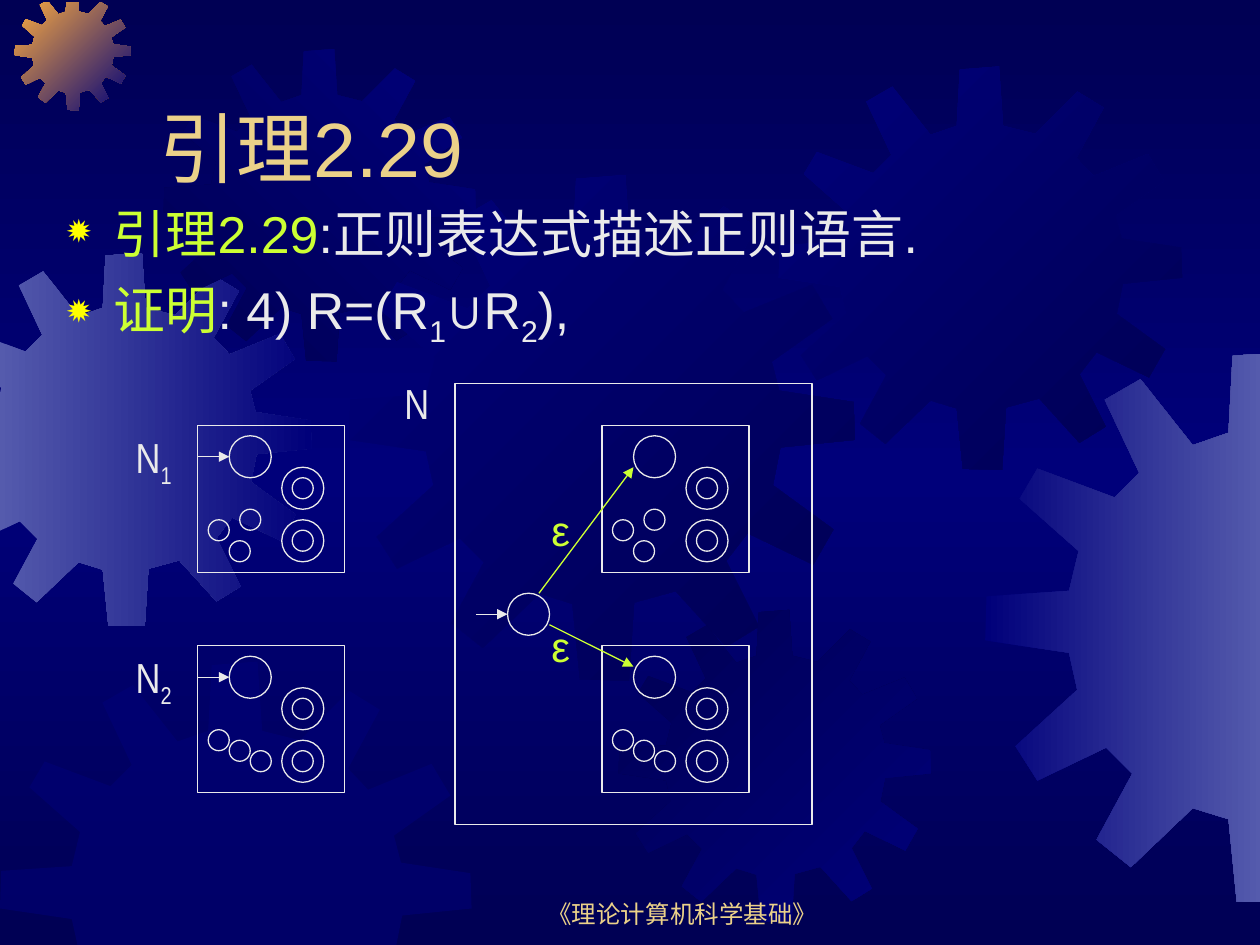
from copy import deepcopy

from lxml import etree
from pptx import Presentation
from pptx.dml.color import RGBColor
from pptx.enum.shapes import MSO_CONNECTOR, MSO_SHAPE
from pptx.enum.text import MSO_ANCHOR, PP_ALIGN
from pptx.oxml.ns import qn
from pptx.util import Pt

STRAIGHT = MSO_CONNECTOR.STRAIGHT
RECTANGLE, OVAL = MSO_SHAPE.RECTANGLE, MSO_SHAPE.OVAL
BOTTOM, TOP = MSO_ANCHOR.BOTTOM, MSO_ANCHOR.TOP
CENTER, LEFT = PP_ALIGN.CENTER, PP_ALIGN.LEFT

WHITE, LIME, SAND, YELLOW = "EAEAEA", "CCFF33", "EBD189", "FFFF00"
NAVY, BLUE, HAZE, ORANGE = "000054", "00007A", "555BAD", "FCAB40"

BLEED = (-1, 1.5, 721, 543)  # left, top, right, bottom limits of the gears
GEAR_SPAN = 401
GEAR_OUTLINE = [
    (255, 67), (223, 59), (219, 0), (180, 3), (177, 59), (151, 68), (113, 20), (87, 35),
    (112, 88), (94, 106), (38, 85), (25, 107), (68, 145), (61, 174), (1, 178), (0, 210),
    (61, 219), (67, 246), (22, 287), (38, 312), (88, 288), (107, 307), (81, 355), (106, 375),
    (151, 332), (177, 340), (183, 400), (222, 401), (226, 339), (259, 330), (299, 374), (325, 358),
    (299, 306), (316, 284), (368, 309), (384, 281), (336, 246), (342, 216), (401, 210), (400, 180),
    (341, 171), (335, 148), (383, 114), (367, 87), (313, 109), (296, 91), (323, 41), (297, 25),
]
# left, top, size, first colour, last colour, clockwise angle
GEARS = [
    (-35.5, 144.5, 213.5, HAZE, BLUE, 0),
    (8.5, -3, 66, ORANGE, BLUE, 45),
    (93.5, 28, 178.5, NAVY, BLUE, 315),
    (199.5, 100, 289, BLUE, NAVY, 45),
    (0, 378, 269.5, BLUE, None, 0),
    (353.5, 348.5, 178.5, NAVY, BLUE, 45),
    (445, 38, 230.5, BLUE, NAVY, 45),
    (563, 201, 315, BLUE, HAZE, 0),
]

AUTOMATON, STATE, DOT = 84, 24, 12
N1_DOTS = [(24, 48), (6, 54), (18, 66)]
N2_DOTS = [(18, 54), (6, 48), (30, 60)]


def color(code):
    return RGBColor.from_string(code)


def fill_gradient(fill, first, last, clockwise):
    fill.gradient()
    fill.gradient_angle = (360 - clockwise) % 360
    for stop, code in zip(fill.gradient_stops, (first, last)):
        stop.color.rgb = color(code)


def paint_background(slide):
    fill = slide.background.fill
    fill_gradient(fill, NAVY, BLUE, 90)
    fill.gradient_stops[1].position = 0.5
    stops = next(slide.element.iter(qn("a:gsLst")))
    closing = deepcopy(stops[0])
    closing.set("pos", "100000")
    stops.append(closing)


def clip(points, axis, limit, side):
    """Cut a polygon at a limit; side is 1 to keep what is above it, -1 below."""
    kept = []
    for a, b in zip(points, points[1:] + points[:1]):
        a_in, b_in = (side * (p[axis] - limit) >= 0 for p in (a, b))
        if a_in:
            kept.append(a)
        if a_in != b_in:
            t = (limit - a[axis]) / (b[axis] - a[axis])
            kept.append(tuple(u + t * (v - u) for u, v in zip(a, b)))
    return kept


def add_gear(slide, left, top, size, first, last, clockwise):
    scale = size / GEAR_SPAN
    points = [(left + x * scale, top + y * scale) for x, y in GEAR_OUTLINE]
    for i, limit in enumerate(BLEED):
        points = clip(points, i % 2, limit, 1 if i < 2 else -1)
    start, *rest = [(Pt(x), Pt(y)) for x, y in points]
    builder = slide.shapes.build_freeform(*start)
    builder.add_line_segments(rest)
    gear = builder.convert_to_shape()
    gear.shadow.inherit = False
    gear.line.fill.background()
    if last:
        fill_gradient(gear.fill, first, last, clockwise)
    else:
        gear.fill.solid()
        gear.fill.fore_color.rgb = color(first)
        tint = next(gear.element.spPr.iter(qn("a:srgbClr")))
        etree.SubElement(tint, qn("a:alpha"), val="50000")


def add_outline(slide, kind, left, top, width, height):
    outline = slide.shapes.add_shape(kind, Pt(left), Pt(top), Pt(width), Pt(height))
    outline.shadow.inherit = False
    outline.fill.background()
    outline.line.color.rgb = color(WHITE)
    outline.line.width = Pt(0.75)


def add_circle(slide, left, top, size):
    add_outline(slide, OVAL, left, top, size, size)


def add_arrow(slide, x1, y1, x2, y2, code=WHITE):
    arrow = slide.shapes.add_connector(STRAIGHT, Pt(x1), Pt(y1), Pt(x2), Pt(y2))
    arrow.line.color.rgb = color(code)
    arrow.line.width = Pt(0.75)
    etree.SubElement(arrow.line._get_or_add_ln(), qn("a:tailEnd"), type="triangle")
    etree.SubElement(arrow._element.spPr, qn("a:effectLst"))


def place(box, left, top, width, height, anchor=TOP):
    box.left, box.top, box.width, box.height = Pt(left), Pt(top), Pt(width), Pt(height)
    box.text_frame.word_wrap = True
    box.text_frame.vertical_anchor = anchor
    return box.text_frame


def add_text_frame(slide, *area, anchor=TOP):
    return place(slide.shapes.add_textbox(0, 0, 0, 0), *area, anchor=anchor)


def write(paragraph, parts, size, font="Arial", align=LEFT):
    """Write (text, colour) parts; a part led by "_" is a subscript."""
    paragraph.font.size, paragraph.font.name = Pt(size), font
    paragraph.alignment = align
    for text, code in parts:
        run = paragraph.add_run()
        run.text = text.lstrip("_")
        run.font.color.rgb = color(code)
        if text.startswith("_"):
            run.font._element.set("baseline", "-25000")


def add_bullet(paragraph):
    paragraph.space_before = Pt(8)
    props = paragraph._p.get_or_add_pPr()
    props.set("marL", str(Pt(27)))
    props.set("indent", str(Pt(-27)))
    tint = etree.SubElement(props, qn("a:buClr"))
    etree.SubElement(tint, qn("a:srgbClr"), val=YELLOW)
    etree.SubElement(props, qn("a:buSzPct"), val="80000")
    etree.SubElement(props, qn("a:buChar"), char="✹")


def add_statements(slide, *area):
    frame = add_text_frame(slide, *area)
    lemma = [("引理2.29", LIME), (":正则表达式描述正则语言.", WHITE)]
    formula = [": 4) R=(R", "_1", "∪R", "_2", "),"]
    proof = [("证明", LIME)] + [(part, WHITE) for part in formula]
    for paragraph, parts in zip((frame.paragraphs[0], frame.add_paragraph()), (lemma, proof)):
        add_bullet(paragraph)
        write(paragraph, parts, 29.6)


def add_label(slide, left, top, *texts, code=WHITE, font="Arial Narrow"):
    frame = add_text_frame(slide, left, top, 36, 38)
    write(frame.paragraphs[0], [(text, code) for text in texts], 24, font)


def add_automaton(slide, left, top, dots, entry):
    add_outline(slide, RECTANGLE, left, top, AUTOMATON, AUTOMATON)
    add_circle(slide, left + 18, top + 6, STATE)
    for accept_top in (24, 54):
        add_circle(slide, left + 48, top + accept_top, STATE)
        add_circle(slide, left + 54, top + accept_top + 6, DOT)
    for x, y in dots:
        add_circle(slide, left + x, top + y, DOT)
    if entry:
        add_arrow(slide, left, top + 18, left + 18, top + 18)


def add_union(slide, left, top, width, height):
    """Draw N: a new start state with ε moves into N1 and N2."""
    add_outline(slide, RECTANGLE, left, top, width, height)
    add_label(slide, left - 36, top - 7, "N")
    for offset, dots in ((24, N1_DOTS), (150, N2_DOTS)):
        add_automaton(slide, left + 84, top + offset, dots, entry=False)
    middle = top + 132
    add_circle(slide, left + 30, middle - 12, STATE)
    add_arrow(slide, left + 12, middle, left + 30, middle)
    add_arrow(slide, left + 48, middle - 12, left + 102, top + 48, LIME)
    add_arrow(slide, left + 54, middle + 6, left + 102, top + 162, LIME)
    for offset in (66, 132):
        add_label(slide, left + 48, top + offset, "ε", code=LIME, font="Arial")


def main():
    prs = Presentation()
    prs.slide_width, prs.slide_height = Pt(720), Pt(540)
    slide = prs.slides.add_slide(prs.slide_layouts[5])
    paint_background(slide)
    for gear in GEARS:
        add_gear(slide, *gear)

    title = slide.shapes.title
    slide.shapes._spTree.append(title._element)  # bring in front of the gears
    heading = place(title, 84, 24, 612, 90, anchor=BOTTOM)
    write(heading.paragraphs[0], [("引理2.29", SAND)], 44)

    footer = add_text_frame(slide, 276, 498, 228, 36, anchor=BOTTOM)
    write(footer.paragraphs[0], [("《理论计算机科学基础》", SAND)], 14, align=CENTER)
    add_statements(slide, 31, 111.5, 612, 96)

    for index, top, dots in (("_1", 243, N1_DOTS), ("_2", 369, N2_DOTS)):
        add_automaton(slide, 113, top, dots, entry=True)
        add_label(slide, 70.5, top, "N", index)
    add_union(slide, 260, 219, 204, 252)
    prs.save("out.pptx")


if __name__ == "__main__":
    main()
